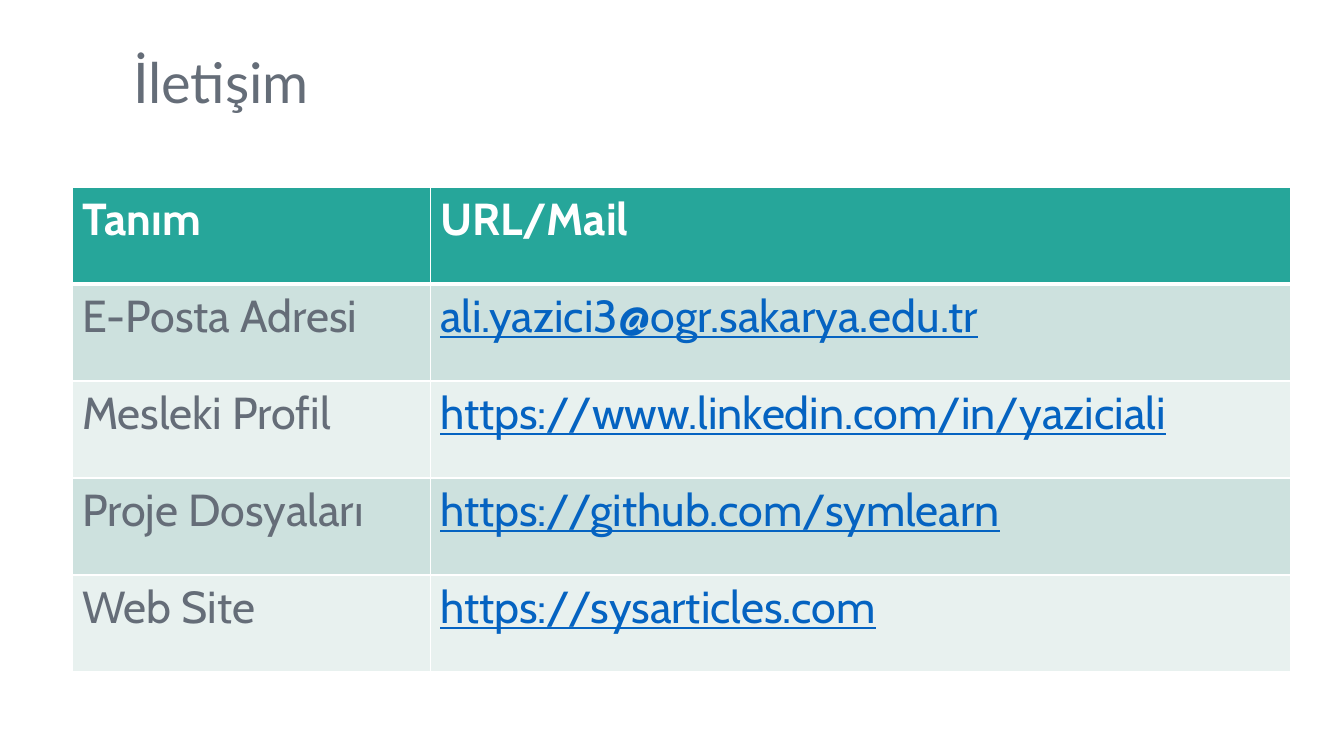
from pptx import Presentation
from pptx.dml.color import RGBColor
from pptx.enum.text import MSO_ANCHOR, MSO_AUTO_SIZE, PP_ALIGN
from pptx.oxml import parse_xml
from pptx.oxml.ns import nsdecls
from pptx.util import Emu, Inches, Pt

# Content
TITLE = "İletişim"
HEADER = ("Tanım", "URL/Mail")
CONTACTS = [
    ("E-Posta Adresi", "ali.yazici3@ogr.sakarya.edu.tr"),
    ("Mesleki Profil", "https://www.linkedin.com/in/yaziciali"),
    ("Proje Dosyaları", "https://github.com/symlearn"),
    ("Web Site", "https://sysarticles.com"),
]

# Colours
WHITE = RGBColor(0xFF, 0xFF, 0xFF)
GREY = RGBColor(0x65, 0x6D, 0x78)
TEAL = RGBColor(0x26, 0xA6, 0x9A)
LINK_BLUE = RGBColor(0x05, 0x63, 0xC1)
BANDS = (RGBColor(0xCD, 0xE1, 0xDE), RGBColor(0xE8, 0xF1, 0xEF))

# Layout in px
PX_PER_INCH = 100.8
TITLE_BOX = (123, 50, 1015, 53)
TABLE_LEFT, TABLE_TOP = 72, 187
COLUMN_WIDTHS = (358, 860)
ROW_HEIGHT = 97


def px(length):
    return Emu(round(length * 914400 / PX_PER_INCH))


def write_text(frame, text, *, font, size, color, bold=False, underline=False):
    para = frame.paragraphs[0]
    para.alignment = PP_ALIGN.LEFT
    span = para.add_run()
    span.text = text
    span.font.name = font
    span.font.size = Pt(size)
    span.font.color.rgb = color
    span.font.bold = bold
    span.font.underline = underline
    return para


def set_borders(cell, **widths):
    properties = cell._tc.get_or_add_tcPr()
    for index, side in enumerate("LRTB"):
        line = parse_xml(
            f'<a:ln{side} {nsdecls("a")} w="{Pt(widths.get(side, 1))}">'
            f'<a:solidFill><a:srgbClr val="{WHITE}"/></a:solidFill></a:ln{side}>'
        )
        properties.insert(index, line)


def add_title(page):
    box = page.shapes.title
    box.left, box.top, box.width, box.height = map(px, TITLE_BOX)
    frame = box.text_frame
    frame.word_wrap = True
    frame.auto_size = MSO_AUTO_SIZE.NONE
    frame.vertical_anchor = MSO_ANCHOR.TOP
    para = write_text(frame, TITLE, font="Lato", size=40, color=GREY)
    para.line_spacing = 0.9


def add_contact_table(page):
    rows = [HEADER, *CONTACTS]
    table = page.shapes.add_table(
        len(rows), len(HEADER), px(TABLE_LEFT), px(TABLE_TOP),
        px(sum(COLUMN_WIDTHS)), px(ROW_HEIGHT * len(rows)),
    ).table
    for column, width in zip(table.columns, COLUMN_WIDTHS):
        column.width = px(width)

    for row_index, texts in enumerate(rows):
        table.rows[row_index].height = px(ROW_HEIGHT)
        is_header = row_index == 0
        for column_index, text in enumerate(texts):
            cell = table.cell(row_index, column_index)
            is_link = not is_header and column_index == 1
            color = WHITE if is_header else LINK_BLUE if is_link else GREY
            write_text(cell.text_frame, text, font="Cabin", size=32,
                       color=color, bold=is_header, underline=is_link)
            cell.fill.solid()
            cell.fill.fore_color.rgb = TEAL if is_header else BANDS[(row_index - 1) % 2]
            # Thick rule between the header and the first contact
            set_borders(cell, B=3 if is_header else 1, T=3 if row_index == 1 else 1)


def main():
    deck = Presentation()
    deck.slide_width, deck.slide_height = Inches(13.33), Inches(7.5)
    page = deck.slides.add_slide(deck.slide_layouts[5])
    page.background.fill.solid()
    page.background.fill.fore_color.rgb = WHITE
    add_title(page)
    add_contact_table(page)
    deck.save("out.pptx")


if __name__ == "__main__":
    main()
